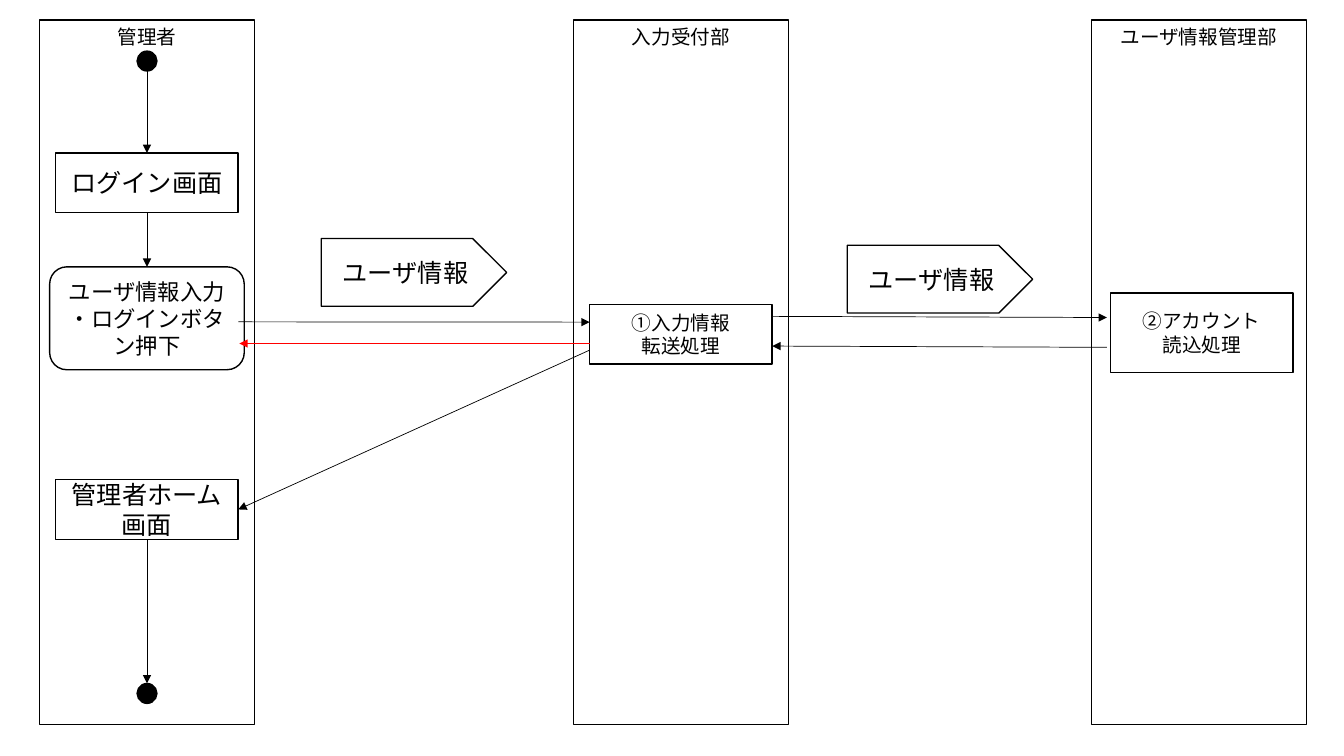
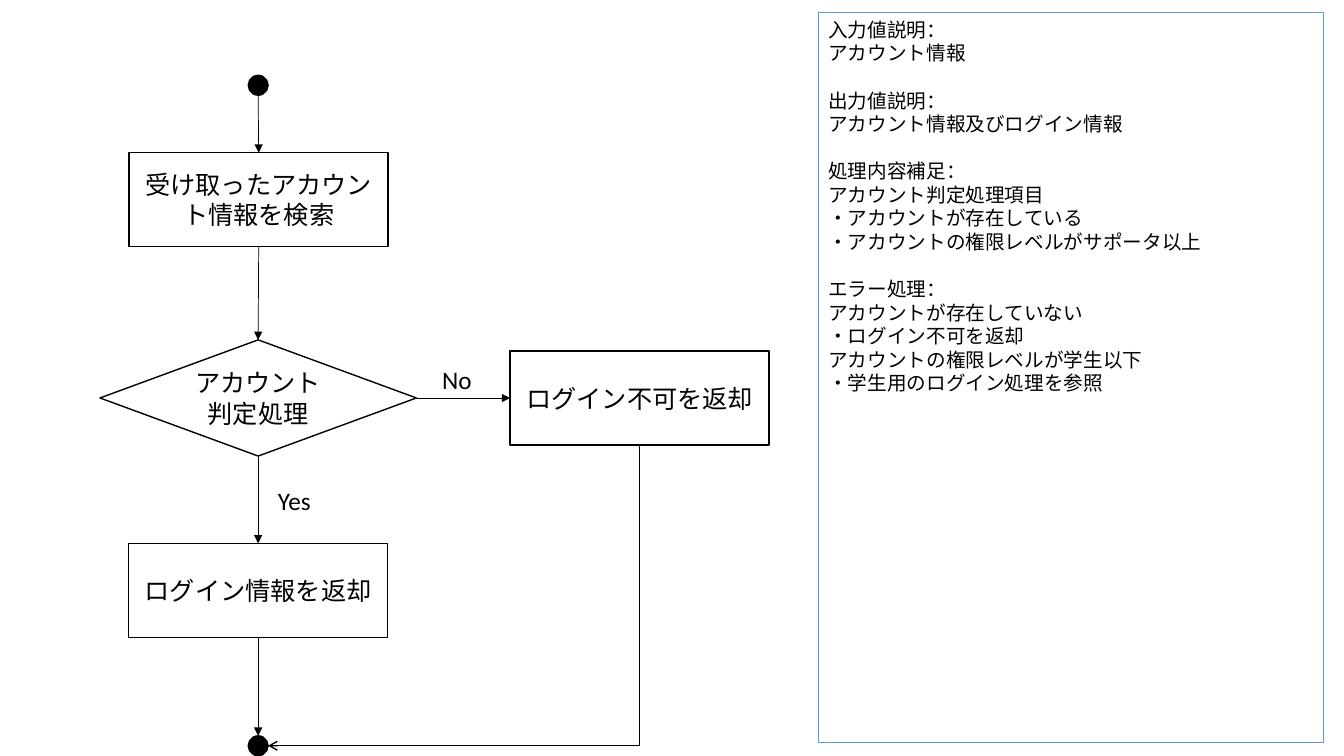
from collections import namedtuple
from dataclasses import dataclass

from lxml import etree
from pptx import Presentation
from pptx import util as u
from pptx.dml.color import RGBColor
from pptx.enum import shapes, text
from pptx.oxml.ns import qn

Pt = u.Pt
SHAPE = shapes.MSO_SHAPE
ALIGN = text.PP_ALIGN
ANCHOR = text.MSO_ANCHOR


@dataclass(frozen=True)
class Theme:
    ink: str = "000000"
    paper: str = "FFFFFF"
    error: str = "FF0000"
    accent: str = "5B9BD5"
    body_font: str = "Calibri"
    lane_font: str = "Arial"
    large: int = 18
    medium: int = 16
    small: int = 14
    outline: float = 1
    flow: float = 0.5
    dot: float = 14.2


T = Theme()


class Box(namedtuple("Box", "x y w h")):
    @property
    def cx(self):
        return self.x + self.w / 2

    @property
    def cy(self):
        return self.y + self.h / 2

    @property
    def right(self):
        return self.x + self.w

    @property
    def bottom(self):
        return self.y + self.h


def centred(cx, y, w, h):
    return Box(cx - w / 2, y, w, h)


# Shared parts
def write(tf, lines, size, font=T.body_font, align=ALIGN.CENTER):
    tf.word_wrap = True
    for i, line in enumerate(lines):
        p = tf.paragraphs[0] if i == 0 else tf.add_paragraph()
        p.alignment = align
        r = p.add_run()
        r.text = line
        r.font.size = Pt(size)
        r.font.name = font
        r.font.color.rgb = RGBColor.from_string(T.ink)


def node(s, kind, box, lines=(), size=T.large, fill=T.paper, line=T.ink,
         anchor=ANCHOR.MIDDLE, **style):
    sp = s.shapes.add_shape(kind, *map(Pt, box))
    sp.shadow.inherit = False
    sp.fill.solid()
    sp.fill.fore_color.rgb = RGBColor.from_string(fill)
    sp.line.color.rgb = RGBColor.from_string(line)
    sp.line.width = Pt(T.outline)
    sp.text_frame.vertical_anchor = anchor
    write(sp.text_frame, lines, size, **style)
    return sp


def dot(s, cx, y):
    box = centred(cx, y, T.dot, T.dot)
    node(s, SHAPE.OVAL, box, fill=T.ink)
    return box


def arrow(s, start, end, color=T.ink, width=T.flow, head="triangle",
          kind=shapes.MSO_CONNECTOR.STRAIGHT):
    c = s.shapes.add_connector(kind, *map(Pt, (*start, *end)))
    c.line.color.rgb = RGBColor.from_string(color)
    c.line.width = Pt(width)
    etree.SubElement(c.line._get_or_add_ln(), qn("a:tailEnd"), type=head)
    etree.SubElement(c._element.spPr, qn("a:effectLst"))
    return c


def down(s, upper, lower):
    arrow(s, (upper.cx, upper.bottom), (lower.cx, lower.y))


def down_then_left(s, start, end):
    # A two-segment elbow is a right-then-down one turned by 90 degrees
    cx, cy = (start[0] + end[0]) / 2, (start[1] + end[1]) / 2
    half_w, half_h = (end[1] - start[1]) / 2, (start[0] - end[0]) / 2
    c = arrow(s, (cx - half_w, cy - half_h), (cx + half_w, cy + half_h),
              width=T.outline, head="arrow", kind=shapes.MSO_CONNECTOR.ELBOW)
    spPr = c._element.spPr
    spPr.find(qn("a:prstGeom")).set("prst", "bentConnector2")
    spPr.find(qn("a:xfrm")).set("rot", "5400000")


def label(s, box, words):
    tb = s.shapes.add_textbox(*map(Pt, box))
    write(tb.text_frame, [words], T.large, align=ALIGN.LEFT)


# Slide 1: swimlanes
def lane(s, box, title):
    node(s, SHAPE.RECTANGLE, box, [title], T.small,
         anchor=ANCHOR.TOP, font=T.lane_font)


def admin_steps(s, box):
    def step(kind, y, w, h, lines, size=T.large):
        b = centred(box.cx, box.y + y, w, h)
        node(s, kind, b, lines, size)
        return b

    start = dot(s, box.cx, box.y + 22.3)
    login = step(SHAPE.RECTANGLE, 95.1, 130.4, 42.6, ["ログイン画面"])
    entry = step(SHAPE.ROUNDED_RECTANGLE, 176.4, 139, 73.5,
                 ["ユーザ情報入力", "・ログインボタン押下"], T.medium)
    home = step(SHAPE.RECTANGLE, 328.4, 130.4, 42.6, ["管理者ホーム画面"])
    end = dot(s, box.cx, box.y + 474)
    for upper, lower in ((start, login), (login, entry), (home, end)):
        down(s, upper, lower)
    return login, home


def process(s, box, lines):
    node(s, SHAPE.RECTANGLE, box, lines, T.small)
    return box


def message(s, left, right, y):
    mid = (left.right + right.x) / 2
    node(s, SHAPE.PENTAGON, centred(mid, y, 132.4, 48.4), ["ユーザ情報"])


def swimlane_slide(s, box):
    titles = ("管理者", "入力受付部", "ユーザ情報管理部")
    lanes = [Box(box.x + x, box.y, 153.4, box.h) for x in (0, 381.4, 751.4)]
    for b, title in zip(lanes, titles):
        lane(s, b, title)
    admin, intake, users = lanes

    login, home = admin_steps(s, admin)
    transfer = process(s, centred(intake.cx, box.y + 203.2, 130.4, 42.6),
                       ["①入力情報", "転送処理"])
    account = process(s, centred(users.cx + 2, box.y + 195.2, 130.4, 56.8),
                      ["②アカウント", "読込処理"])
    message(s, admin, intake, box.y + 156.2)
    message(s, intake, users, box.y + 161)

    # Requests and replies between lanes
    edge, gate = login.right, account.x - 2.5
    for x1, y1, x2, y2, color in (
            (edge, 215.7, transfer.x, 215.9, T.ink),
            (transfer.x, 231.2, edge + 0.8, 231.2, T.error),
            (transfer.x, 235.9, edge, home.cy - box.y, T.ink),
            (transfer.right, 211.8, gate, 212.6, T.ink),
            (gate, 233.9, transfer.right, 233, T.ink)):
        arrow(s, (x1, box.y + y1), (x2, box.y + y2), color)


# Slide 2: decision flow with notes
def decision_flow(s, box):
    def step(cx, y, words):
        b = centred(cx, box.y + y, 185, 67)
        node(s, SHAPE.FLOWCHART_PROCESS, b, [words])
        return b

    axis = box.x + 113
    start = dot(s, axis, box.y)
    search = step(axis + 0.4, 55.3, "受け取ったアカウント情報を検索")
    judge = centred(axis, box.y + 189, 226, 83)
    node(s, SHAPE.FLOWCHART_DECISION, judge, ["アカウント", "判定処理"])
    accept = step(axis, 334.4, "ログイン情報を返却")
    reject = step(box.right - 92.5, 197, "ログイン不可を返却")
    end = dot(s, axis, box.bottom - T.dot)

    column = (start, search, judge, accept, end)
    for upper, lower in zip(column, column[1:]):
        down(s, upper, lower)
    arrow(s, (judge.right, judge.cy), (reject.x, judge.cy))
    down_then_left(s, (reject.cx, reject.bottom), (end.right, end.cy))
    label(s, Box(axis + 7, judge.bottom + 17, 44.6, 29), "Yes")
    label(s, Box(judge.right + 11.3, judge.cy - 27.3, 44.6, 29), "No")


def notes_panel(s, box, sections):
    lines = [line for section in sections for line in section]
    sp = node(s, SHAPE.FLOWCHART_PROCESS, box, lines, T.small, line=T.accent,
              anchor=ANCHOR.TOP, align=ALIGN.LEFT)
    first = 0
    for section in sections:
        if first:
            sp.text_frame.paragraphs[first].space_before = Pt(17)
        first += len(section)


NOTES = (
    ("入力値説明：", "アカウント情報"),
    ("出力値説明：", "アカウント情報及びログイン情報"),
    ("処理内容補足：", "アカウント判定処理項目", "・アカウントが存在している",
     "・アカウントの権限レベルがサポータ以上"),
    ("エラー処理：", "アカウントが存在していない", "・ログイン不可を返却",
     "アカウントの権限レベルが学生以下", "・学生用のログイン処理を参照"),
)

prs = Presentation()
prs.slide_width, prs.slide_height = Pt(960), Pt(540)
blank = prs.slide_layouts[6]

swimlane_slide(prs.slides.add_slide(blank), Box(28.3, 14.2, 904.8, 503.2))

s = prs.slides.add_slide(blank)
decision_flow(s, Box(71.4, 53.8, 478, 486))
notes_panel(s, Box(584.6, 9, 360.8, 521.4), NOTES)

prs.save("out.pptx")
